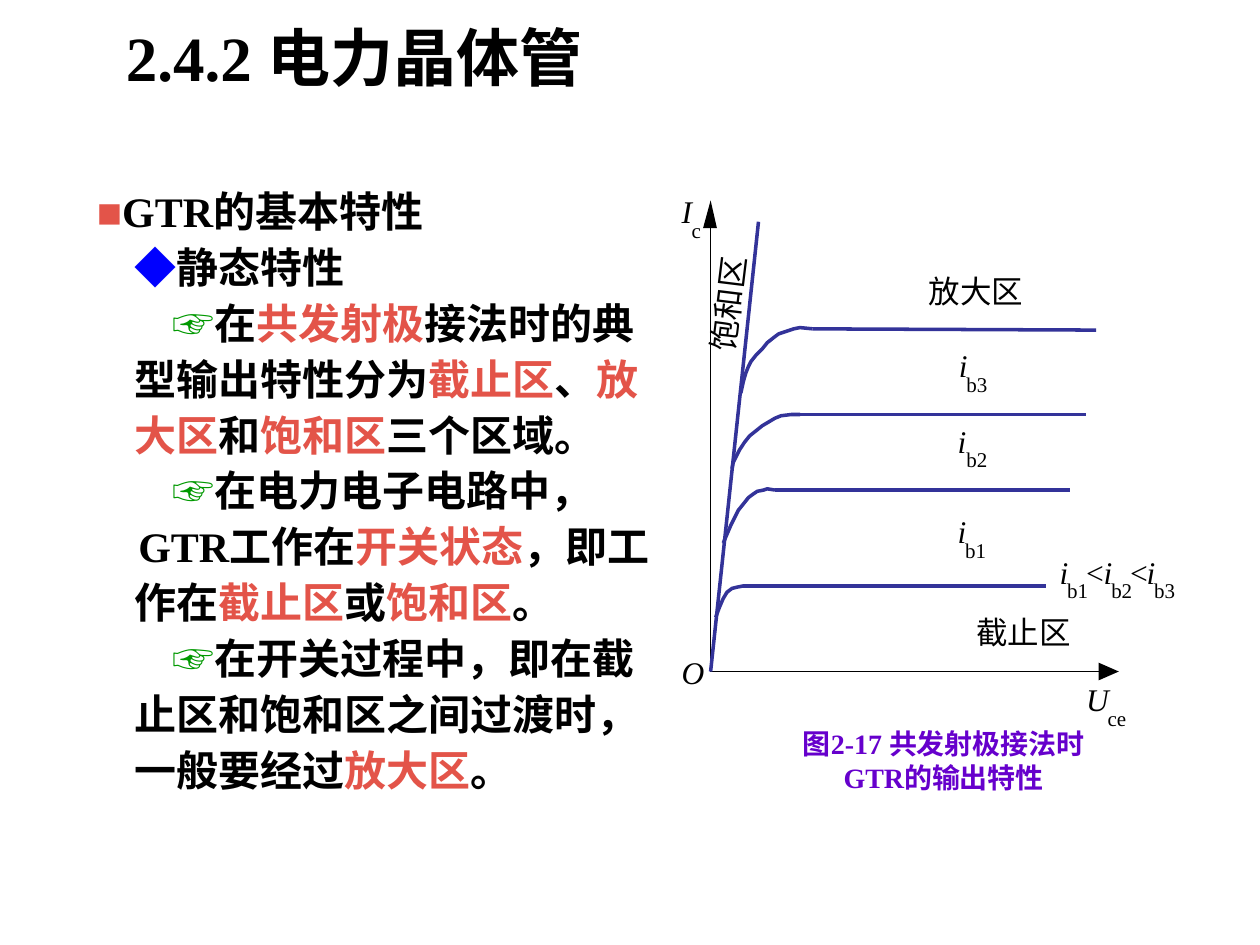
from lxml.etree import SubElement
from pptx import Presentation
from pptx.dml.color import RGBColor
from pptx.enum.shapes import MSO_CONNECTOR
from pptx.enum.text import MSO_ANCHOR, MSO_AUTO_SIZE, PP_ALIGN
from pptx.oxml.ns import qn
from pptx.util import Inches, Pt

LATIN, CJK = "Times New Roman", "Noto Sans CJK SC"
BLACK, RED, GREEN, BLUE = "000000", "E35449", "009900", "0000FF"
NAVY, PURPLE = "333399", "6600CC"


def color(hex_string):
    return RGBColor.from_string(hex_string)


def add_run(paragraph, text, size, tint=BLACK, bold=False, italic=False, latin=LATIN):
    run = paragraph.add_run()
    run.text = text
    font = run.font
    font.size, font.bold, font.italic, font.name = Pt(size), bold, italic, latin
    font.color.rgb = color(tint)
    SubElement(font._element, qn("a:ea")).set("typeface", CJK)


prs = Presentation()
prs.slide_width, prs.slide_height = Inches(10), Inches(7.5)
slide = prs.slides.add_slide(prs.slide_layouts[6])

title = slide.shapes.add_textbox(Inches(0.9), Inches(0.05), Inches(8.58), Inches(0.8)).text_frame
title.word_wrap = True
title.vertical_anchor = MSO_ANCHOR.MIDDLE
add_run(title.paragraphs[0], "2.4.2 电力晶体管", 36, bold=True)

# Each line: indent in inches, then its coloured pieces
body_lines = [
    (0, [("■", RED), ("GTR的基本特性", BLACK)]),
    (0.3, [("◆", BLUE), ("静态特性", BLACK)]),
    (0.6, [("☞", GREEN), ("在", BLACK), ("共发射极", RED), ("接法时的典", BLACK)]),
    (0.3, [("型输出特性分为", BLACK), ("截止区", RED), ("、", BLACK), ("放", RED)]),
    (0.3, [("大区", RED), ("和", BLACK), ("饱和区", RED), ("三个区域。", BLACK)]),
    (0.6, [("☞", GREEN), ("在电力电子电路中，", BLACK)]),
    (0.33, [("GTR工作在", BLACK), ("开关状态", RED), ("，即工", BLACK)]),
    (0.3, [("作在", BLACK), ("截止区", RED), ("或", BLACK), ("饱和区", RED), ("。", BLACK)]),
    (0.6, [("☞", GREEN), ("在开关过程中，即在截", BLACK)]),
    (0.3, [("止区和饱和区之间过渡时，", BLACK)]),
    (0.3, [("一般要经过", BLACK), ("放大区", RED), ("。", BLACK)]),
]
body = slide.shapes.add_textbox(Inches(0.67), Inches(1.47), Inches(4.8), Inches(5.36)).text_frame
body.word_wrap = True
for row, (indent, pieces) in enumerate(body_lines):
    paragraph = body.add_paragraph() if row else body.paragraphs[0]
    paragraph.line_spacing = 0.9
    paragraph.space_before = Pt(6 if row else 0)
    paragraph._p.get_or_add_pPr().set("marL", str(Inches(indent)))
    for text, tint in pieces:
        add_run(paragraph, text, 24, tint, bold=True)

# Output characteristic: axes, saturation line and one plateau per base current
figure = slide.shapes.add_group_shape().shapes
origin = (5.64, 5.33)
straight_lines = [
    (origin, (8.73, 5.33), BLACK, 1),
    (origin, (5.64, 1.79), BLACK, 1),
    (origin, (6.02, 1.76), NAVY, 2),
    ((5.9, 4.65), (8.3, 4.65), NAVY, 2),
    ((6.15, 3.89), (8.49, 3.89), NAVY, 2),
    ((6.35, 3.29), (8.62, 3.29), NAVY, 2),
    ((6.45, 2.61), (8.7, 2.62), NAVY, 2),
]
for start, end, tint, weight in straight_lines:
    line = figure.add_connector(MSO_CONNECTOR.STRAIGHT, *map(Inches, start + end))
    line.line.color.rgb = color(tint)
    line.line.width = Pt(weight)
    SubElement(line._element.spPr, qn("a:effectLst"))

arrow_tips = [
    [(8.72, 5.26), (8.88, 5.33), (8.72, 5.4)],
    [(5.58, 1.81), (5.64, 1.59), (5.69, 1.81)],
]
knees = [
    [(5.68, 4.9), (5.71, 4.82), (5.74, 4.75), (5.77, 4.7), (5.81, 4.67), (5.85, 4.66),
     (5.9, 4.65)],
    [(5.74, 4.31), (5.77, 4.24), (5.8, 4.17), (5.83, 4.11), (5.86, 4.05), (5.9, 4),
     (5.94, 3.95), (5.98, 3.92), (6.01, 3.9), (6.06, 3.89), (6.09, 3.88), (6.15, 3.89)],
    [(5.81, 3.72), (5.82, 3.67), (5.84, 3.63), (5.87, 3.57), (5.91, 3.51), (5.95, 3.46),
     (6, 3.42), (6.05, 3.38), (6.1, 3.35), (6.15, 3.32), (6.2, 3.3), (6.28, 3.29), (6.35, 3.29)],
    [(5.88, 3.12), (5.9, 3.03), (5.92, 2.96), (5.94, 2.91), (5.96, 2.87), (6, 2.82),
     (6.05, 2.77), (6.09, 2.72), (6.14, 2.68), (6.18, 2.65), (6.24, 2.63), (6.3, 2.61),
     (6.35, 2.6), (6.45, 2.61)],
]
for points in arrow_tips + knees:
    is_tip = points in arrow_tips
    corners = [(Inches(x), Inches(y)) for x, y in points]
    builder = figure.build_freeform(*corners[0])
    builder.add_line_segments(corners[1:], close=is_tip)
    outline = builder.convert_to_shape()
    outline.shadow.inherit = False
    if is_tip:
        outline.fill.solid()
        outline.fill.fore_color.rgb = color(BLACK)
        outline.line.fill.background()
    else:
        outline.fill.background()
        outline.line.color.rgb = color(NAVY)
        outline.line.width = Pt(2)

# Labels: text, left, top, width, size, italic, font, rotation
labels = [
    ("截止区", 7.75, 4.9, 0.75, 18, False, CJK, 0),
    ("放大区", 7.37, 2.19, 0.75, 18, False, CJK, 0),
    ("饱和区", 5.42, 2.28, 0.75, 18, False, CJK, 277),
]
# Symbols: letter, its width, subscript, subscript's left and width, letter's left and top
symbols = [
    ("O", 0.18, "", 0, 0, 5.41, 5.22),
    ("I", 0.08, "c", 5.49, 0.07, 5.41, 1.56),
    ("i", 0.07, "b3", 7.67, 0.17, 7.61, 2.78),
    ("i", 0.07, "b2", 7.67, 0.17, 7.6, 3.38),
    ("i", 0.07, "b1", 7.66, 0.17, 7.6, 4.1),
    ("i", 0.07, "b1", 8.47, 0.17, 8.41, 4.42),
    ("<", 0.14, "", 0, 0, 8.62, 4.42),
    ("i", 0.07, "b2", 8.82, 0.17, 8.76, 4.42),
    ("<", 0.14, "", 0, 0, 8.97, 4.42),
    ("i", 0.07, "b3", 9.16, 0.17, 9.1, 4.42),
    ("U", 0.18, "ce", 8.79, 0.15, 8.62, 5.43),
]
for letter, width, subscript, subscript_left, subscript_width, left, top in symbols:
    labels.append((letter, left, top, width, 18, letter != "<", LATIN, 0))
    if subscript:
        labels.append((subscript, subscript_left, top + 0.19, subscript_width, 12, False, LATIN, 0))

for text, left, top, width, size, italic, latin, rotation in labels:
    label = figure.add_textbox(Inches(left), Inches(top), Inches(width), Inches(size * 0.015))
    label.rotation = rotation
    frame = label.text_frame
    frame.margin_left = frame.margin_right = frame.margin_top = frame.margin_bottom = 0
    frame.word_wrap = False
    frame.auto_size = MSO_AUTO_SIZE.SHAPE_TO_FIT_TEXT
    frame.paragraphs[0].line_spacing = 0.9
    add_run(frame.paragraphs[0], text, size, italic=italic, latin=latin)

caption = slide.shapes.add_textbox(Inches(6.18), Inches(5.72), Inches(2.62), Inches(0.64)).text_frame
caption.word_wrap = True
for row, text in enumerate(["图2-17 共发射极接法时", "GTR的输出特性"]):
    paragraph = caption.add_paragraph() if row else caption.paragraphs[0]
    paragraph.alignment = PP_ALIGN.CENTER
    add_run(paragraph, text, 16, PURPLE, bold=True)

prs.save("out.pptx")
